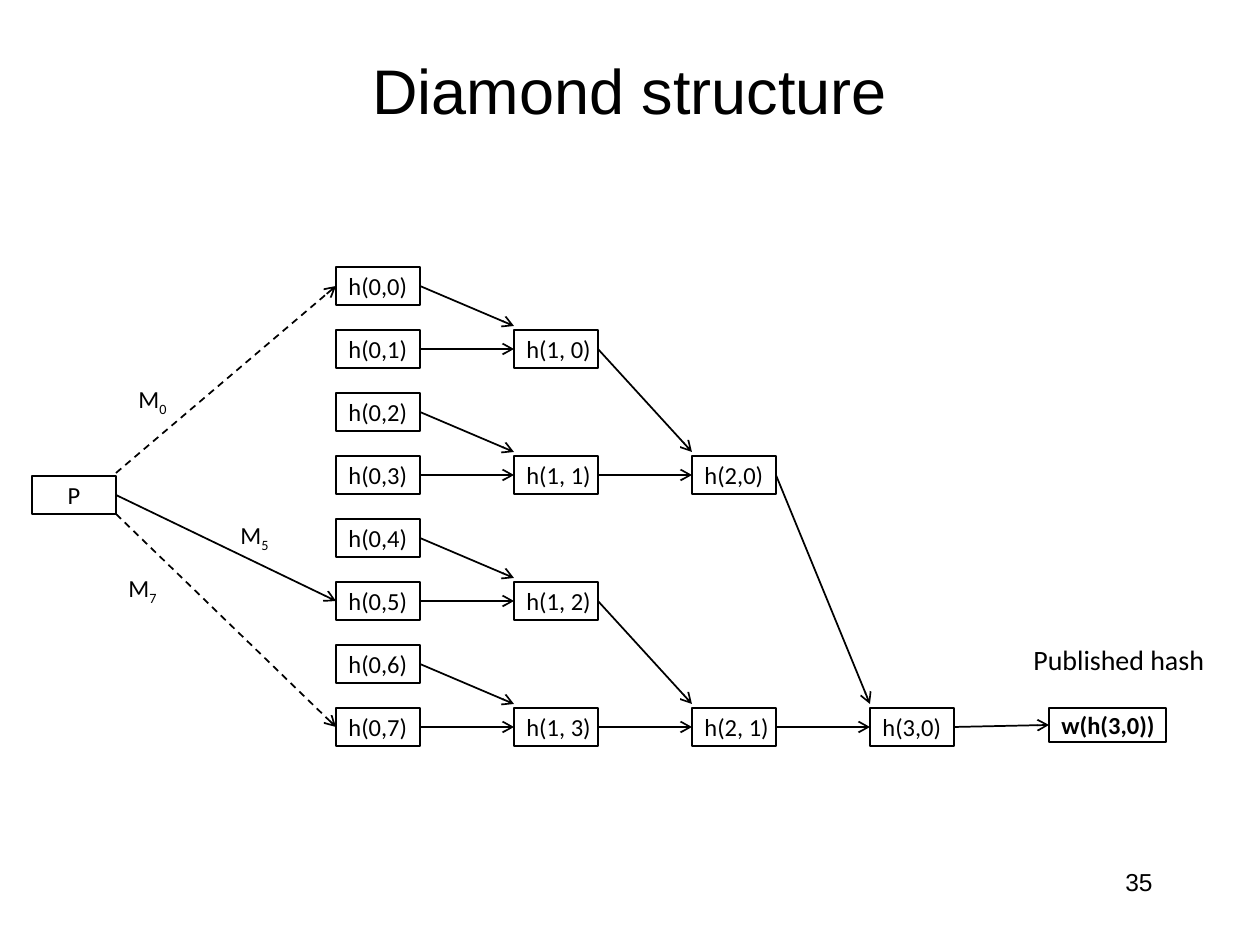
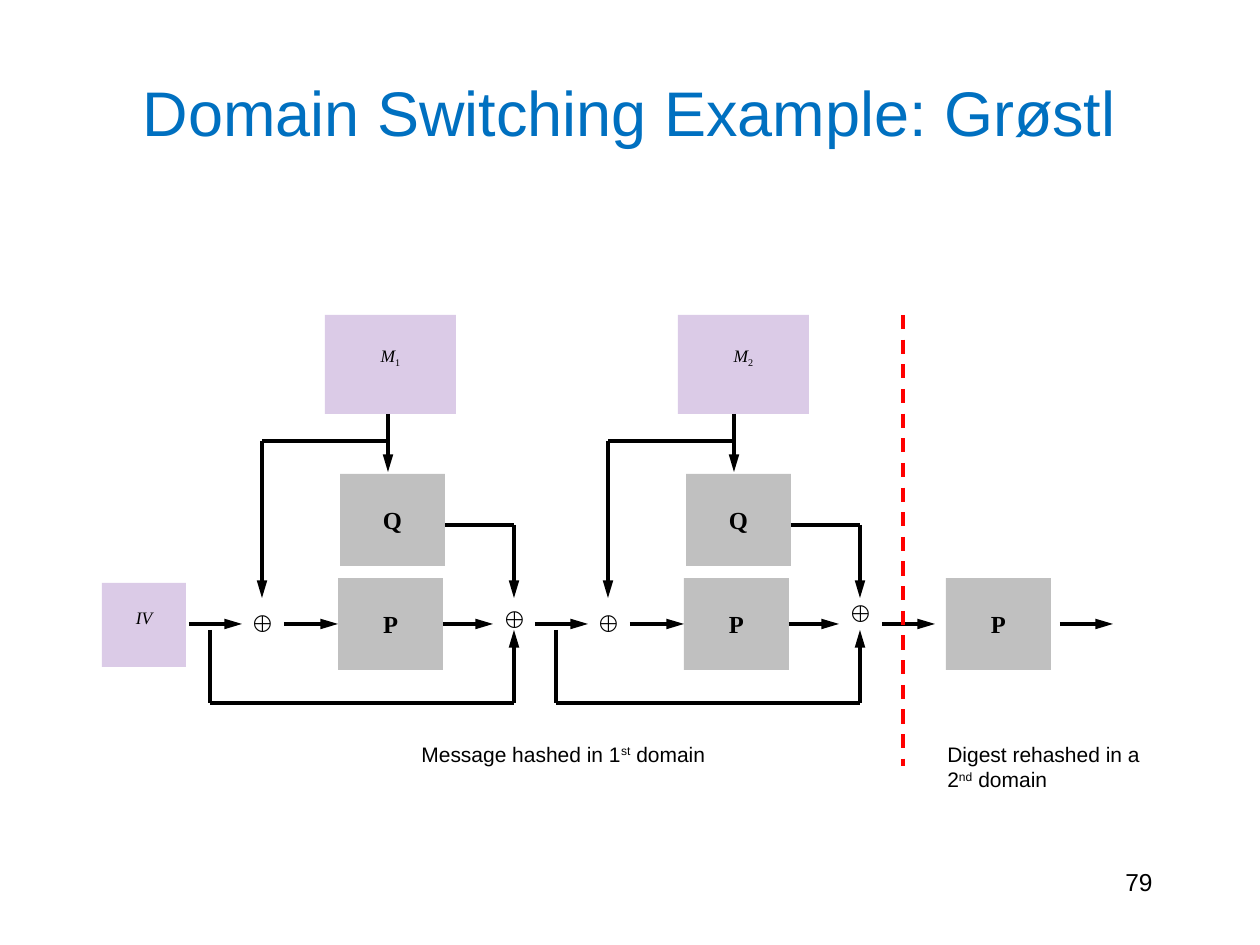
from lxml import etree
from pptx import Presentation
from pptx.dml.color import RGBColor
from pptx.enum.dml import MSO_LINE
from pptx.enum.shapes import MSO_CONNECTOR, MSO_SHAPE
from pptx.enum.text import MSO_ANCHOR, PP_ALIGN
from pptx.oxml.ns import qn
from pptx.util import Pt

PX = 7257  # EMU per px, 126 px to the inch
BLACK = RGBColor(0x00, 0x00, 0x00)
BLUE = RGBColor(0x00, 0x70, 0xC0)
PURPLE = RGBColor(0x70, 0x30, 0xA0)
GREY = RGBColor(0xC0, 0xC0, 0xC0)
RED = RGBColor(0xFF, 0x00, 0x00)
LEFT, CENTER, RIGHT = PP_ALIGN.LEFT, PP_ALIGN.CENTER, PP_ALIGN.RIGHT
TOP_SIDE, LEFT_SIDE, BOTTOM_SIDE, RIGHT_SIDE = range(4)
SUB, SUPER = -25000, 30000


def add_block(slide, box, runs, size, font="Arial", color=BLACK, align=LEFT,
              fill=None, outline=None, middle=False, bold=False, italic=False, wrap=True):
    """Add text, in a rectangle if a fill or outline is given; runs are (text, baseline)."""
    place = [n * PX for n in box]
    if fill or outline:
        block = slide.shapes.add_shape(MSO_SHAPE.RECTANGLE, *place)
        block.shadow.inherit = False
        if fill:
            block.fill.solid()
            block.fill.fore_color.rgb = fill
        else:
            block.fill.background()
        if outline:
            block.line.color.rgb = outline
            block.line.width = Pt(1)
        else:
            block.line.fill.background()
    else:
        block = slide.shapes.add_textbox(*place)
    frame = block.text_frame
    frame.word_wrap = wrap
    frame.vertical_anchor = MSO_ANCHOR.MIDDLE if middle else MSO_ANCHOR.TOP
    paragraph = frame.paragraphs[0]
    paragraph.alignment = align
    paragraph.font.size = Pt(size)
    paragraph.font.name = font
    paragraph.font.color.rgb = color
    paragraph.font.bold = bold
    for text, baseline in runs:
        run = paragraph.add_run()
        run.text = text
        if italic:
            run.font.italic = not baseline
        if baseline:
            run.font._element.set("baseline", str(baseline))
    return block


def add_line(slide, start, end, width, head=None, length="med", dashed=False, color=BLACK):
    """Draw a line; each end is a point (x, y) or a joined side (shape, side)."""
    line = slide.shapes.add_connector(MSO_CONNECTOR.STRAIGHT, 0, 0, 0, 0)
    if isinstance(start[0], int):
        line.begin_x, line.begin_y = start[0] * PX, start[1] * PX
    else:
        line.begin_connect(*start)
    if isinstance(end[0], int):
        line.end_x, line.end_y = end[0] * PX, end[1] * PX
    else:
        line.end_connect(*end)
    line.line.color.rgb = color
    line.line.width = Pt(width)
    if dashed:
        line.line.dash_style = MSO_LINE.DASH
    properties = line._element.spPr
    if head:
        etree.SubElement(properties.find(qn("a:ln")), qn("a:tailEnd"),
                         type=head, w="med", len=length)
    etree.SubElement(properties, qn("a:effectLst"))


prs = Presentation()
prs.slide_width, prs.slide_height = 1260 * PX, 945 * PX

# Titles and page numbers
slides = []
for title, title_box, color, number in [
    ("Diamond structure", (94, 42, 1071, 95), BLACK, "35"),
    ("Domain Switching Example: Grøstl", (94, 32, 1071, 158), BLUE, "79"),
]:
    slide = prs.slides.add_slide(prs.slide_layouts[6])
    add_block(slide, title_box, [(title, 0)], 36, color=color, align=CENTER, middle=True)
    add_block(slide, (903, 861, 262, 63), [(number, 0)], 14, align=RIGHT)
    slides.append(slide)
diamond, domains = slides

# Diamond: hash nodes, each level half as many as the one before
LEVELS = [
    ["h(0,0)", "h(0,1)", "h(0,2)", "h(0,3)", "h(0,4)", "h(0,5)", "h(0,6)", "h(0,7)"],
    ["h(1, 0)", "h(1, 1)", "h(1, 2)", "h(1, 3)"],
    ["h(2,0)", "h(2, 1)"],
    ["h(3,0)"],
]
NODE_W, NODE_H = 84, 38
node_style = dict(size=14, font="Calibri", outline=BLACK, middle=True, wrap=False)
nodes = []
for level, labels in enumerate(LEVELS):
    nodes.append([])
    for i, label in enumerate(labels):
        x = 336 + 178 * level
        y = 267 + 63 * ((i + 1) * 2 ** level - 1)
        node = add_block(diamond, (x, y, NODE_W, NODE_H), [(label, 0)], **node_style)
        node.text_frame.margin_right = 0
        nodes[level].append(node)
        if level:
            upper, lower = nodes[level - 1][2 * i:2 * i + 2]
            add_line(diamond, (upper, RIGHT_SIDE), (x, y - 4), 1, "arrow")
            add_line(diamond, (lower, RIGHT_SIDE), (node, LEFT_SIDE), 1, "arrow")

# Diamond: published hash
add_block(diamond, (1021, 636, 198, 47), [("Published hash", 0)], 16, "Calibri", wrap=False)
published = add_block(diamond, (1049, 708, 117, 34), [("w(h(3,0))", 0)], bold=True, **node_style)
published.text_frame.margin_right = 0
add_line(diamond, (nodes[3][0], RIGHT_SIDE), (published, LEFT_SIDE), 1, "arrow")

# Diamond: prefix and its messages
prefix = add_block(diamond, (32, 476, NODE_W, NODE_H), [("P", 0)], align=CENTER, **node_style)
for index, start, label_x, label_y in [
    (0, (116, 473), 126, 378),
    (5, (prefix, RIGHT_SIDE), 228, 514),
    (7, (116, 514), 116, 567),
]:
    add_line(diamond, start, (nodes[0][index], LEFT_SIDE), 1, "arrow", dashed=index != 5)
    add_block(diamond, (label_x, label_y, 55, 43), [("M", 0), (str(index), SUB)],
              14, "Calibri", wrap=False)

# Domains: inputs in pale purple
for box, runs in [
    ((325, 315, 131, 99), [("M", 0), ("1", SUB)]),
    ((678, 315, 131, 99), [("M", 0), ("2", SUB)]),
    ((102, 583, 84, 84), [("IV", 0)]),
]:
    source = add_block(domains, box, runs, 10, "Times New Roman", align=CENTER,
                       fill=PURPLE, middle=True, italic=True)
    source.text_frame.margin_bottom = 22 * PX
    tint = source._element.spPr.find(qn("a:solidFill")).find(qn("a:srgbClr"))
    etree.SubElement(tint, qn("a:alpha"), val="25000")

# Domains: two compression stages, x is the centre of the first XOR
FLOW_Y, PERM_W, PERM_H = 624, 105, 92
perm_style = dict(size=14, font="Times New Roman", align=CENTER, fill=GREY, middle=True, bold=True)
arrow = dict(width=2, head="triangle", length="lg")
for x, out_xor_y in [(262, 594), (608, 588)]:
    add_block(domains, (x + 78, 474, PERM_W, PERM_H), [("Q", 0)], **perm_style)
    perm_p = add_block(domains, (x + 76, 578, PERM_W, PERM_H), [("P", 0)], **perm_style)
    for xor_x, xor_y in [(x, 598), (x + 252, out_xor_y)]:
        add_block(domains, (xor_x - 31, xor_y, 63, 47), [("⨁", 0)], 16, "Courier New", align=CENTER)

    stem, out, tap = x + 126, x + 252, x - 52
    for start, end in [
        ((stem, 441), (x, 441)),
        ((x + 183, 525), (out, 525)),
        ((tap, 630), (tap, 703)),
        ((tap, 703), (out, 703)),
    ]:
        add_line(domains, start, end, 2)
    for start, end in [
        ((stem, 414), (stem, 472)),
        ((x, 441), (x, 598)),
        ((out, 525), (out, 598)),
        ((out, 703), (out, 630)),
        ((x - 73, FLOW_Y), (x - 20, FLOW_Y)),
        ((x + 22, FLOW_Y), (perm_p, LEFT_SIDE)),
        ((perm_p, RIGHT_SIDE), (x + 231, FLOW_Y)),
    ]:
        add_line(domains, start, end, **arrow)

# Domains: second domain beyond the dashed border
add_block(domains, (946, 578, PERM_W, PERM_H), [("P", 0)], **perm_style)
for x in (882, 1060):
    add_line(domains, (x, FLOW_Y), (x + 53, FLOW_Y), **arrow)
add_line(domains, (903, 315), (903, 766), 2, dashed=True, color=RED)
add_block(domains, (409, 735, 420, 38),
          [("Message hashed in 1", 0), ("st", SUPER), (" domain", 0)], 12)
add_block(domains, (935, 735, 242, 63),
          [("Digest rehashed in a 2", 0), ("nd", SUPER), (" domain", 0)], 12)

prs.save("out.pptx")
